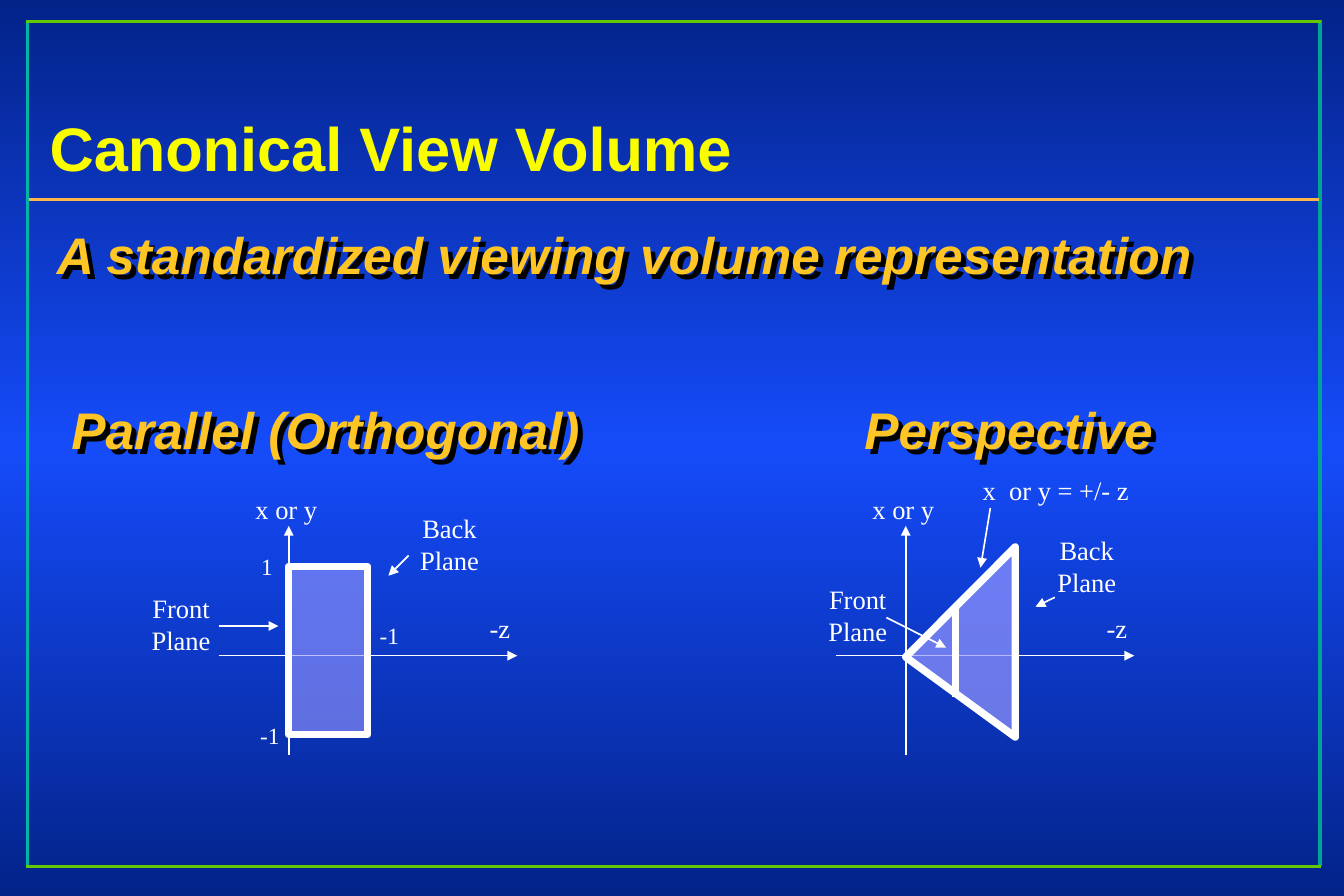
from copy import deepcopy

from lxml import etree
from pptx import Presentation
from pptx.dml.color import RGBColor
from pptx.enum.shapes import MSO_CONNECTOR
from pptx.enum.text import MSO_ANCHOR, MSO_AUTO_SIZE, PP_ALIGN
from pptx.oxml.ns import qn
from pptx.util import Cm, Pt

COLORS = {
    "edge": "032389", "middle": "154BF9",
    "right": "00A494", "left": "00B7A5", "frame": "60C900", "rule": "FFB549",
    "title": "FAFD00", "heading": "FEC524", "shadow": "000000",
    "white": "FFFFFF", "volume": "9999FF",
}


def rgb(name):
    return RGBColor.from_string(COLORS[name])


def set_font(p, name, size, color, bold=False, italic=False):
    f = p.font
    f.name, f.size, f.bold, f.italic = name, Pt(size), bold, italic
    f.color.rgb = rgb(color)


def paint_background(s):
    fill = s.background.fill
    fill.gradient()
    fill.gradient_angle = 270
    first = fill._fill._gradFill.gsLst[0]
    first.addnext(deepcopy(first))
    for stop, position, color in zip(fill.gradient_stops, (0, 0.5, 1),
                                     ("edge", "middle", "edge")):
        stop.position = position
        stop.color.rgb = rgb(color)


def add_line(s, x1, y1, x2, y2, color="white", width=1, arrow=False):
    line = s.shapes.add_connector(MSO_CONNECTOR.STRAIGHT,
                                  Cm(x1), Cm(y1), Cm(x2), Cm(y2))
    line.line.color.rgb = rgb(color)
    line.line.width = Pt(width)
    if arrow:
        etree.SubElement(line.line._get_or_add_ln(), qn("a:tailEnd"), type="triangle")
    etree.SubElement(line._element.spPr, qn("a:effectLst"))


def add_text(s, text, x, y, w, h):
    box = s.shapes.add_textbox(Cm(x), Cm(y), Cm(w), Cm(h))
    p = box.text_frame.paragraphs[0]
    p.text = text
    return box, p


def add_label(s, text, center, y, size=16, width=2.4):
    """Centre a label, with room to spare on both sides."""
    lines = text.count("\n") + 1
    box, p = add_text(s, text, center - width / 2, y, width, 0.25 + lines * size * 0.043)
    box.text_frame.word_wrap = True
    p.alignment = PP_ALIGN.CENTER
    set_font(p, "Times New Roman", size, "white")


def add_heading(s, text, x, y, w):
    box, p = add_text(s, text, x, y, w, 1.5)
    box.text_frame.word_wrap = True
    set_font(p, "Arial", 31, "heading", bold=True, italic=True)
    effects = etree.SubElement(box._element.spPr, qn("a:effectLst"))
    shadow = etree.SubElement(effects, qn("a:outerShdw"), dist="53900", dir="2700000")
    etree.SubElement(shadow, qn("a:srgbClr"), val=COLORS["shadow"])


def add_volume(s, points, opacity):
    """Draw a closed, translucent outline through the points."""
    corners = [(Cm(x), Cm(y)) for x, y in points]
    builder = s.shapes.build_freeform(*corners[0])
    builder.add_line_segments(corners[1:], close=True)
    sp = builder.convert_to_shape()
    sp.shadow.inherit = False
    sp.fill.solid()
    sp.fill.fore_color.rgb = rgb("volume")
    color = sp._element.spPr.find(qn("a:solidFill"))[0]
    etree.SubElement(color, qn("a:alpha"), val=str(opacity * 1000))
    sp.line.color.rgb = rgb("white")
    sp.line.width = Pt(4.5)
    etree.SubElement(sp.line._get_or_add_ln(), qn("a:round"))


def add_axes(s, x):
    """Draw both axes and their names, with the vertical axis at x."""
    add_line(s, x, 16.05, x, 11.18, arrow=True)
    add_line(s, x - 1.49, 13.94, x + 4.86, 13.94, arrow=True)
    add_label(s, "x or y", x - 0.05, 10.36)
    add_label(s, "-z", x + 4.49, 12.88)


def add_frame(s):
    add_line(s, 28.07, 0.43, 28.07, 18.42, "right", 2)
    add_line(s, 0.58, 0.43, 0.58, 18.42, "left", 2)
    for y in (18.42, 0.46):
        add_line(s, 0.56, y, 28.09, y, "frame", 2)
    add_line(s, 0.61, 4.24, 28.04, 4.24, "rule", 2)


def add_title(s, text):
    title = s.shapes.title
    title.left, title.top, title.width, title.height = Cm(0.8), Cm(0.86), Cm(23.11), Cm(3.18)
    tf = title.text_frame
    tf.text = text
    tf.vertical_anchor = MSO_ANCHOR.BOTTOM
    tf.auto_size = MSO_AUTO_SIZE.NONE
    p = tf.paragraphs[0]
    p.alignment = PP_ALIGN.LEFT
    p.line_spacing = 1.04
    set_font(p, "Arial", 37, "title", bold=True)


def add_parallel_diagram(s):
    add_axes(s, 6.14)
    add_volume(s, [(6.14, 12.04), (7.82, 12.04), (7.82, 15.62), (6.14, 15.62)], 60)
    add_label(s, "1", 5.68, 11.61, 14)
    add_label(s, "-1", 5.74, 15.21, 14)
    add_label(s, "-1", 8.28, 13.08, 14)
    add_label(s, "Front\nPlane", 3.85, 12.46)
    add_line(s, 4.65, 13.31, 5.92, 13.31, arrow=True)
    add_label(s, "Back\nPlane", 9.56, 10.77)
    add_line(s, 8.69, 11.81, 8.26, 12.24, arrow=True)


def add_perspective_diagram(s):
    add_axes(s, 19.26)
    add_volume(s, [(19.26, 13.97), (21.59, 11.63), (21.59, 15.67)], 68)
    add_label(s, "Front\nPlane", 18.24, 12.28)
    add_line(s, 18.85, 13.13, 20.12, 13.77, arrow=True)
    add_line(s, 20.32, 12.9, 20.32, 14.81, width=4.5)
    add_label(s, "Back\nPlane", 23.11, 11.23)
    add_line(s, 22.43, 12.7, 22.02, 12.9, arrow=True)
    add_label(s, "x  or y = +/- z", 22.45, 9.96, width=4.2)
    add_line(s, 21.06, 10.8, 20.85, 12.07, arrow=True)


def main():
    prs = Presentation()
    prs.slide_width, prs.slide_height = Cm(28.58), Cm(19.05)
    s = prs.slides.add_slide(prs.slide_layouts[5])
    paint_background(s)
    add_frame(s)
    add_title(s, "Canonical View Volume")
    add_heading(s, "A standardized viewing volume representation", 0.96, 4.62, 26.77)
    add_heading(s, "Parallel (Orthogonal)", 1.27, 8.34, 13)
    add_heading(s, "Perspective", 18.13, 8.34, 9)
    add_parallel_diagram(s)
    add_perspective_diagram(s)
    prs.save("out.pptx")


if __name__ == "__main__":
    main()
